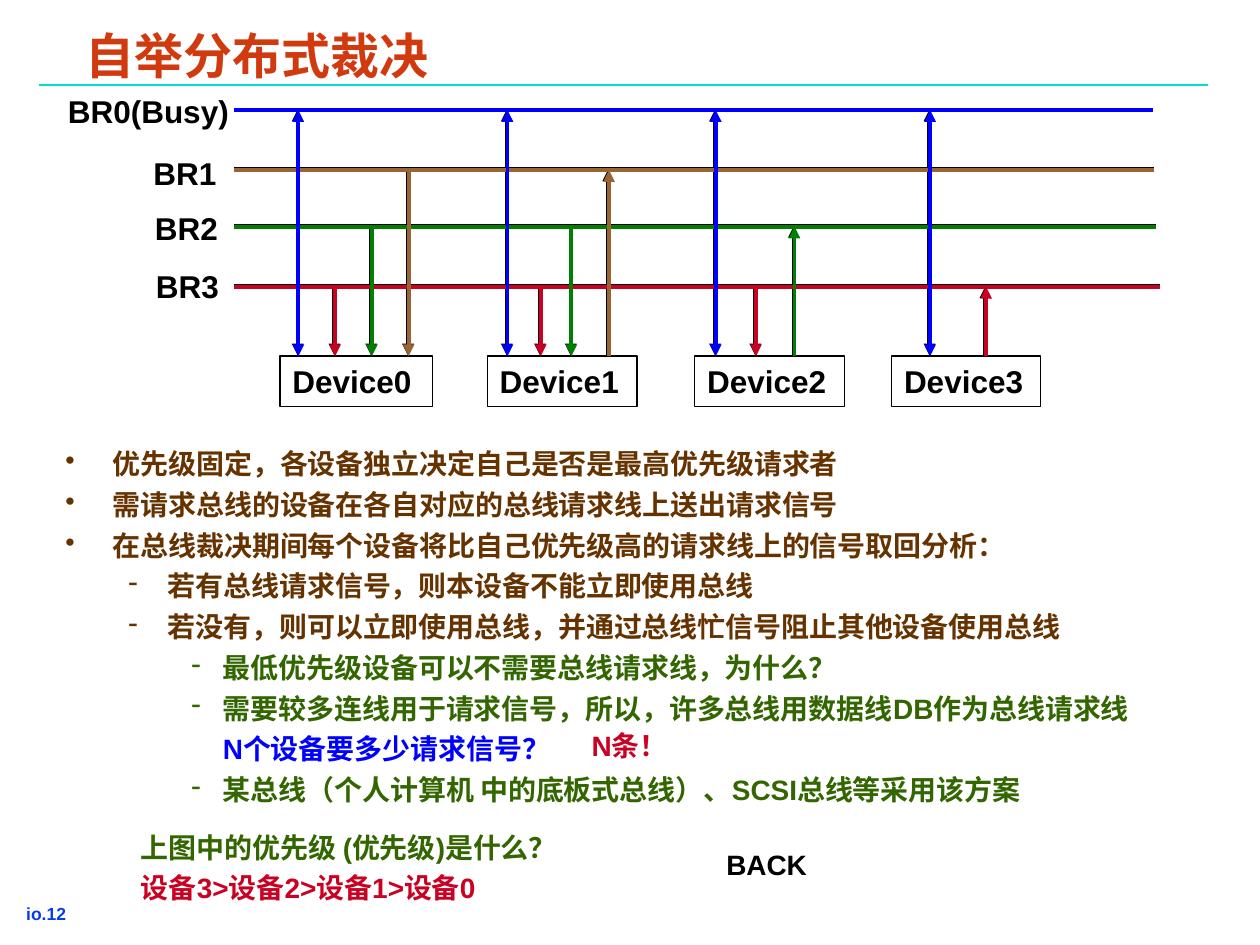
from lxml import etree
from pptx import Presentation
from pptx import util as u
from pptx.dml import color
from pptx.enum import shapes, text
from pptx.oxml import ns

Pt = u.Pt
COLORS = {
    "title": "D1390F", "rule": "00DFCA", "footer": "063DE8", "black": "000000",
    "brown": "663300", "olive": "336600",
    "blue": "0000FF", "tan": "996633", "green": "008000", "red": "C90122",
}
BUS_LEFT = 134
DEVICE_TOP = 203.5

# Bus lines: label, label left, label top, label width, y, right end, colour
BUSES = [
    ("BR0(Busy)", 31.7, 49, 107, 63, 659, "blue"),
    ("BR1", 80.6, 84.5, 54, 97.2, 659.5, "tan"),
    ("BR2", 81.4, 116, 54, 129.5, 660.5, "green"),
    ("BR3", 82, 149, 54, 164, 663, "red"),
]
# Arrows of each bus: x position and direction
ARROWS = {
    "blue": [(170.5, "both"), (290, "both"), (409, "both"), (531.5, "both")],
    "tan": [(233.5, "down"), (348, "up")],
    "green": [(212.5, "down"), (326.5, "down"), (454, "up")],
    "red": [(191.5, "down"), (309, "down"), (432, "down"), (563.5, "up")],
}
DEVICES = [(160, 87), (278.5, 85.5), (397, 85.5), (509.5, 85)]

# Body text: level, bullet, colour, wording
BODY = [
    (0, "•", "brown", "优先级固定，各设备独立决定自己是否是最高优先级请求者"),
    (0, "•", "brown", "需请求总线的设备在各自对应的总线请求线上送出请求信号"),
    (0, "•", "brown", "在总线裁决期间每个设备将比自己优先级高的请求线上的信号取回分析："),
    (1, "-", "brown", "若有总线请求信号，则本设备不能立即使用总线"),
    (1, "-", "brown", "若没有，则可以立即使用总线，并通过总线忙信号阻止其他设备使用总线"),
    (2, "-", "olive", "最低优先级设备可以不需要总线请求线，为什么？"),
    (2, "-", "olive", "需要较多连线用于请求信号，所以，许多总线用数据线DB作为总线请求线"),
    (2, None, "blue", "N个设备要多少请求信号？"),
    (2, "-", "olive", "某总线（个人计算机 中的底板式总线）、SCSI总线等采用该方案"),
]
INDENTS = [(27, 27), (58.5, 22.5), (90, 18)]  # left margin, hanging


def rgb(name):
    return color.RGBColor.from_string(COLORS[name])


def apply(target, values):
    for name, value in values.items():
        setattr(target, name, value)


def set_frame(shape, side=7.2, edge=3.6, anchor=text.MSO_ANCHOR.TOP):
    apply(shape.text_frame, {
        "word_wrap": True, "vertical_anchor": anchor,
        "margin_left": Pt(side), "margin_right": Pt(side),
        "margin_top": Pt(edge), "margin_bottom": Pt(edge),
    })
    return shape.text_frame


def add_run(paragraph, wording, size, color_name, font="Arial"):
    run = paragraph.add_run()
    run.text = wording
    apply(run.font, {"size": Pt(size), "bold": True, "name": font})
    run.font.color.rgb = rgb(color_name)


def add_label(slide, wording, box, size=18, color_name="black", **insets):
    shape = slide.shapes.add_textbox(*map(Pt, box))
    paragraph = set_frame(shape, **insets).paragraphs[0]
    add_run(paragraph, wording, size, color_name)
    return shape


def add_line(slide, start, end, color_name, width=2.25, heads=()):
    line = slide.shapes.add_connector(
        shapes.MSO_CONNECTOR.STRAIGHT, *map(Pt, start + end))
    line.line.width = Pt(width)
    line.line.color.rgb = rgb(color_name)
    outline = line.line._get_or_add_ln()
    for head in heads:
        etree.SubElement(outline, ns.qn(f"a:{head}"), type="triangle")
    etree.SubElement(line._element.spPr, ns.qn("a:effectLst"))


def add_bus(slide, y, right, bus_color, line_color, shift=0):
    add_line(slide, (BUS_LEFT, y + shift), (right, y + shift), line_color)
    heads = {"up": ["headEnd"], "down": ["tailEnd"], "both": ["headEnd", "tailEnd"]}
    for x, direction in ARROWS[bus_color]:
        add_line(slide, (x + shift, y + shift), (x + shift, DEVICE_TOP + shift),
                 line_color, heads=heads[direction])


def add_device(slide, wording, left, width):
    shape = slide.shapes.add_shape(
        shapes.MSO_SHAPE.RECTANGLE, Pt(left), Pt(DEVICE_TOP), Pt(width), Pt(29))
    shape.shadow.inherit = False
    shape.fill.background()
    shape.line.color.rgb = rgb("black")
    shape.line.width = Pt(0.75)
    paragraph = set_frame(shape).paragraphs[0]
    paragraph.alignment = text.PP_ALIGN.LEFT
    add_run(paragraph, wording, 18, "black")


def set_bullet(paragraph, level, bullet, color_name):
    margin, hanging = INDENTS[level]
    properties = paragraph._p.get_or_add_pPr()
    properties.set("marL", str(Pt(margin)))
    properties.set("indent", str(-Pt(hanging) if bullet else 0))
    if bullet:
        bullet_color = etree.SubElement(properties, ns.qn("a:buClr"))
        etree.SubElement(bullet_color, ns.qn("a:srgbClr"), val=COLORS[color_name])
        etree.SubElement(properties, ns.qn("a:buChar"), char=bullet)
    else:
        etree.SubElement(properties, ns.qn("a:buNone"))


def add_body(slide):
    shape = slide.shapes.add_textbox(Pt(32.4), Pt(255), Pt(638.6), Pt(207.4))
    frame = set_frame(shape, side=5, edge=2.5)
    for index, (level, bullet, color_name, wording) in enumerate(BODY):
        paragraph = frame.add_paragraph() if index else frame.paragraphs[0]
        set_bullet(paragraph, level, bullet, color_name)
        apply(paragraph, {"level": level, "line_spacing": 0.9,
                          "space_before": Pt(6 if index else 0)})
        add_run(paragraph, wording, 16, color_name)


def set_title(slide, wording):
    title = slide.shapes.title
    apply(title, {"left": Pt(44), "top": Pt(17.3), "width": Pt(567), "height": Pt(33)})
    frame = set_frame(title, side=5, edge=2.5, anchor=text.MSO_ANCHOR.MIDDLE)
    frame.auto_size = text.MSO_AUTO_SIZE.NONE
    paragraph = frame.paragraphs[0]
    apply(paragraph, {"alignment": text.PP_ALIGN.LEFT, "line_spacing": 0.87})
    add_run(paragraph, wording, 28, "title")


def add_question(slide):
    shape = add_label(slide, "上图中的优先级 (优先级)是什么？", (73.5, 471, 280, 50), 16, "olive")
    answer = shape.text_frame.add_paragraph()
    answer.space_before = Pt(4)
    add_run(answer, "设备3>", 16, "red")
    for number in ("2>", "1>", "0"):
        add_run(answer, "设备", 16, "red", "Times New Roman")
        add_run(answer, number, 16, "red")


def main():
    presentation = Presentation()
    apply(presentation, {"slide_width": Pt(720), "slide_height": Pt(540)})
    slide = presentation.slides.add_slide(presentation.slide_layouts[5])

    # Page furniture and title
    add_label(slide, "io.12", (7, 513.4, 73, 16), 10, "footer", side=8, edge=2.5)
    add_line(slide, (22.3, 48.4), (690.5, 48.4), "rule", 1)
    set_title(slide, "自举分布式裁决")

    # Bus diagram: devices, labels, dark edges, coloured lines
    for number, (left, width) in enumerate(DEVICES):
        add_device(slide, f"Device{number}", left, width)
    for label, left, top, width, *_ in BUSES:
        add_label(slide, label, (left, top, width, 29))
    for shade, shift in (("black", -0.4), (None, 0)):
        for *_, y, right, bus_color in reversed(BUSES):
            add_bus(slide, y, right, bus_color, shade or bus_color, shift)

    # Explanation and answers
    add_body(slide)
    add_label(slide, "N条！", (331, 412.6, 202, 26.6), 16, "red")
    add_question(slide)
    add_label(slide, "BACK", (408, 481, 105, 26.6), 16)

    presentation.save("out.pptx")


if __name__ == "__main__":
    main()
